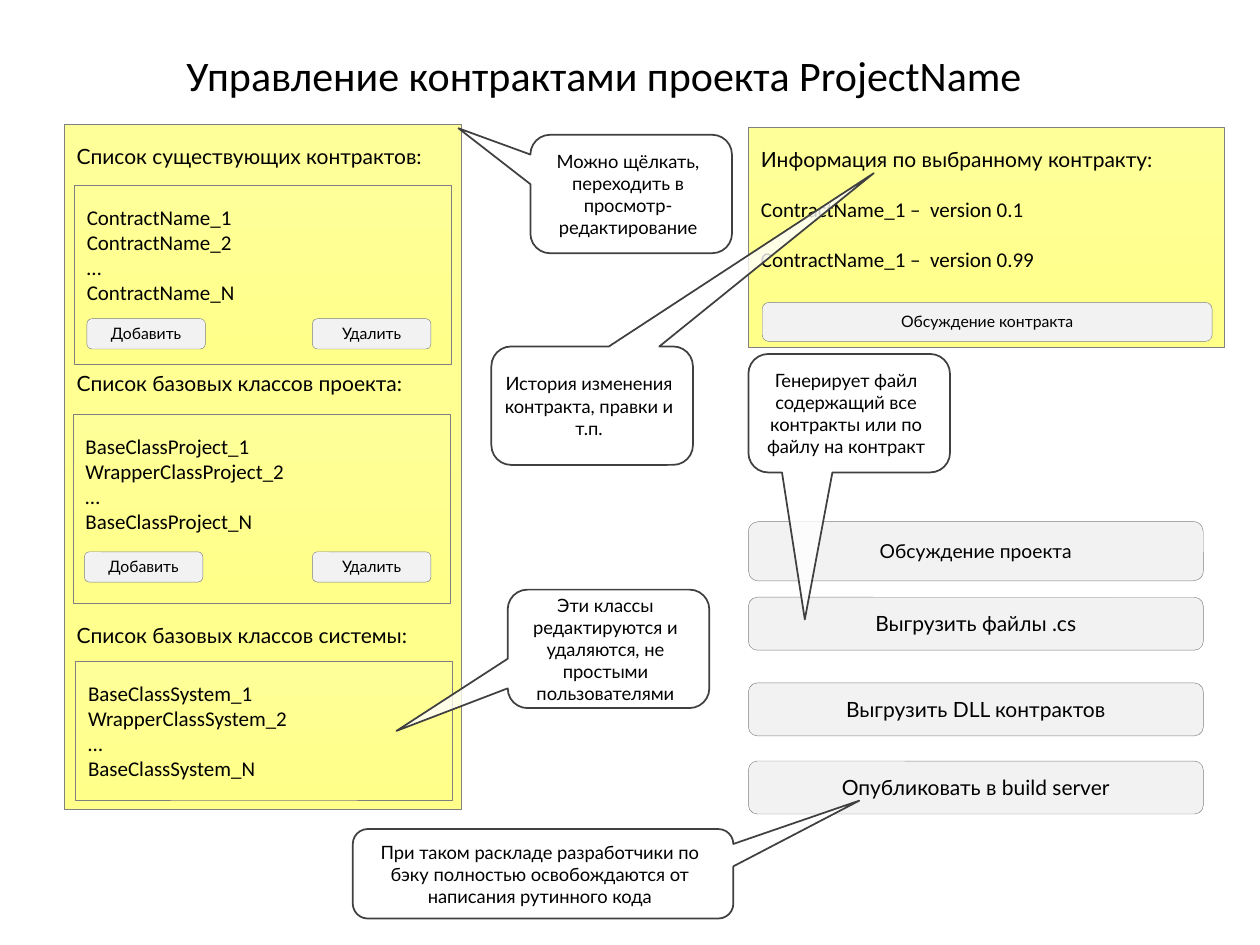
from pptx import Presentation
from pptx import util as u
from pptx.dml import color
from pptx.enum import shapes, text
from pptx.oxml import ns
from lxml import etree

COLORS = {
    "ink": "000000", "top": "FFFF99", "low": "FFFF89", "edge": "808080",
    "face": "F2F2F2", "note": "FFFFFF", "rim": "404040",
}
KIND = shapes.MSO_SHAPE
LEFT, MID = text.PP_ALIGN.LEFT, text.PP_ALIGN.CENTER


def rgb(name):
    return color.RGBColor.from_string(COLORS[name])


def set_frame(frame, pads, anchor, wrap=True):
    frame.word_wrap = wrap
    frame.vertical_anchor = anchor
    frame.margin_left, frame.margin_top, frame.margin_right, frame.margin_bottom = map(u.Inches, pads)


def add_text(frame, paras, align):
    for i, (words, size, font, gap) in enumerate(paras):
        para = frame.paragraphs[0] if i == 0 else frame.add_paragraph()
        para.alignment = align
        para.space_before = u.Pt(gap)
        for j, line in enumerate(words.split("\n")):
            if j:
                para.add_line_break()
            run = para.add_run()
            run.text = line
            run.font.size = u.Pt(size)
            run.font.name = font
            run.font.color.rgb = rgb("ink")


def add_shape(slide, kind, box, line, width):
    shape = slide.shapes.add_shape(kind, *map(u.Inches, box))
    shape.shadow.inherit = False
    shape.line.color.rgb = rgb(line)
    shape.line.width = u.Pt(width)
    return shape


def add_panel(slide, box, paras):
    shape = add_shape(slide, KIND.RECTANGLE, box, "edge", 0.25)
    shape.fill.gradient()
    shape.fill.gradient_angle = 270
    for stop, name, place in zip(shape.fill.gradient_stops, ("top", "low"), (0, 1)):
        stop.color.rgb = rgb(name)
        stop.position = place
    set_frame(shape.text_frame, (0.1, 0.15, 0.1, 0.05), text.MSO_ANCHOR.TOP)
    add_text(shape.text_frame, paras, LEFT)


def add_button(slide, box, words, size):
    shape = add_shape(slide, KIND.ROUNDED_RECTANGLE, box, "edge", 0.25)
    shape.fill.solid()
    shape.fill.fore_color.rgb = rgb("face")
    set_frame(shape.text_frame, (0.1, 0, 0.1, 0.01), text.MSO_ANCHOR.MIDDLE)
    add_text(shape.text_frame, [(words, size, "Lato", 0)], MID)


def add_note(slide, box, tip, words):
    shape = add_shape(slide, KIND.ROUNDED_RECTANGULAR_CALLOUT, box, "rim", 1)
    shape.adjustments[0], shape.adjustments[1] = tip
    shape.fill.solid()
    shape.fill.fore_color.rgb = rgb("note")
    tint = shape.fill._xPr.find(ns.qn("a:solidFill"))[0]
    etree.SubElement(tint, ns.qn("a:alpha")).set("val", "80000")
    set_frame(shape.text_frame, (0.05, 0.05, 0.1, 0.05), text.MSO_ANCHOR.MIDDLE)
    add_text(shape.text_frame, [(words, 10.5, "Lato", 0)], MID)


def add_title(slide, words):
    box = slide.shapes.add_textbox(*map(u.Inches, (1.31, 0.34, 6.97, 0.5)))
    set_frame(box.text_frame, (0.1, 0.05, 0.1, 0.05), text.MSO_ANCHOR.TOP, False)
    add_text(box.text_frame, [(words, 24, "Calibri", 0)], MID)


def main():
    deck = Presentation()
    deck.slide_width, deck.slide_height = u.Inches(10), u.Inches(7.5)
    slide = deck.slides.add_slide(deck.slide_layouts[6])
    add_title(slide, "Управление контрактами проекта ProjectName")

    row = 14.4
    add_panel(slide, (0.51, 0.99, 3.15, 5.43), [
        ("Список существующих контрактов:", 12, "Lato", 0),
        ("Список базовых классов проекта:", 12, "Lato", 8 * row),
        ("Список базовых классов системы:", 12, "Lato", 9 * row),
    ])
    for left, top, high, first, second, last in (
        (0.59, 1.47, 1.42, "ContractName_1", "ContractName_2", "ContractName_N"),
        (0.58, 3.29, 1.5, "BaseClassProject_1", "WrapperClassProject_2", "BaseClassProject_N"),
        (0.6, 5.25, 1.1, "BaseClassSystem_1", "WrapperClassSystem_2", "BaseClassSystem_N"),
    ):
        names = "\n".join((first, second, "…", last))
        add_panel(slide, (left, top, 2.99, high), [(names, 12, "Calibri", 0)])
    add_panel(slide, (5.94, 1.01, 3.78, 1.75), [
        ("Информация по выбранному контракту:", 12, "Lato", 0),
        ("ContractName_1 –  version 0.1", 12, "Calibri", row),
        ("ContractName_1 –  version 0.99", 12, "Calibri", row),
    ])

    for left, top in ((0.69, 2.53), (0.67, 4.38)):
        add_button(slide, (left, top, 0.94, 0.24), "Добавить", 9)
        add_button(slide, (2.48, top, 0.94, 0.24), "Удалить", 9)
    add_button(slide, (6.05, 2.4, 3.57, 0.31), "Обсуждение контракта", 9)
    for top, high, size, words in (
        (4.14, 0.47, 11, "Обсуждение проекта"),
        (4.74, 0.42, 12, "Выгрузить файлы .cs"),
        (5.42, 0.42, 12, "Выгрузить DLL контрактов"),
        (6.04, 0.42, 12, "Опубликовать в build server"),
    ):
        add_button(slide, (5.94, top, 3.61, high), words, size)

    for left, top, tip, words in (
        (4.21, 1.07, (-0.857, -0.555), "Можно щёлкать, переходить в просмотр-редактирование"),
        (4.03, 4.68, (-1.052, 0.693), "Эти классы редактируются и удаляются, не простыми пользователями"),
        (3.9, 2.75, (1.397, -1.963), "История изменения контракта, правки и т.п."),
        (5.94, 2.81, (-0.22, 1.741), "Генерирует файл содержащий все контракты или по файлу на контракт"),
    ):
        add_note(slide, (left, top, 1.6, 0.94), tip, words)
    add_note(slide, (2.8, 6.58, 3.02, 0.71), (0.831, -0.818),
             "При таком раскладе разработчики по бэку полностью освобождаются от написания рутинного кода")
    deck.save("out.pptx")


main()
